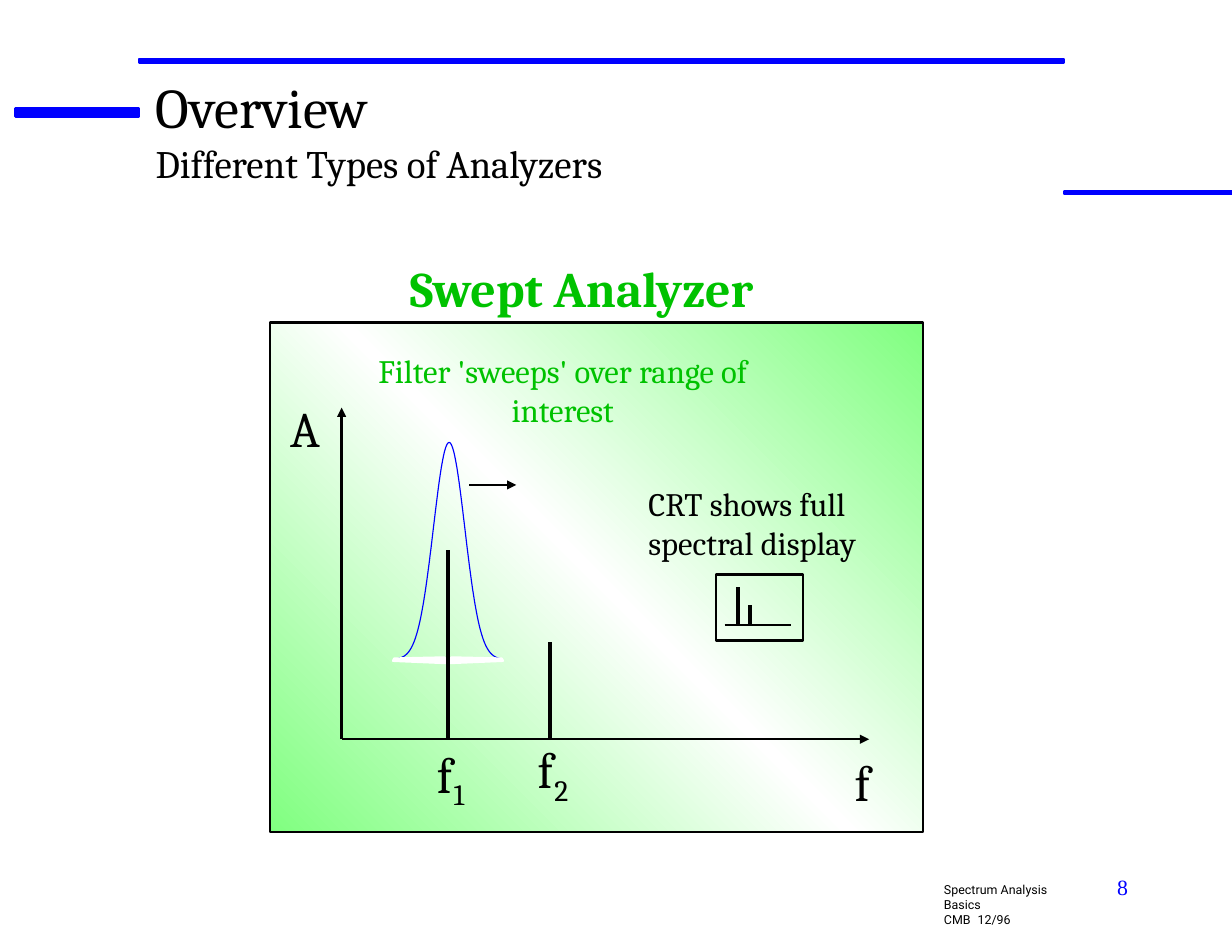
from dataclasses import dataclass
from math import exp
from typing import Optional

from lxml import etree
from copy import deepcopy
from pptx import Presentation
from pptx.dml.color import RGBColor
from pptx.enum.shapes import MSO_CONNECTOR, MSO_SHAPE
from pptx.enum.text import MSO_ANCHOR, MSO_AUTO_SIZE, PP_ALIGN
from pptx.oxml.ns import qn
from pptx.util import Cm, Pt

LEFT, MID, RIGHT = PP_ALIGN.LEFT, PP_ALIGN.CENTER, PP_ALIGN.RIGHT
TOP, FIXED = MSO_ANCHOR.TOP, MSO_AUTO_SIZE.NONE
RECT, LINE = MSO_SHAPE.RECTANGLE, MSO_CONNECTOR.STRAIGHT


@dataclass(frozen=True)
class Theme:
    black: str = "000000"
    white: str = "FFFFFF"
    blue: str = "0000FF"
    green: str = "00C200"
    pale: str = "80FF80"
    serif: str = "Cambria"
    title: float = 36
    sub: float = 25
    big: float = 32
    note: float = 21
    index: float = 19
    page: float = 14
    foot: float = 8
    thin: float = 0.75
    line: float = 1.5
    bar: float = 2.5


T = Theme()


@dataclass(frozen=True)
class Box:
    x: float
    y: float
    w: float
    h: float


@dataclass(frozen=True)
class Label:
    box: Box
    text: str
    size: float = T.big
    color: str = T.black
    align: PP_ALIGN = LEFT
    bold: bool = False
    face: str = T.serif
    inset: tuple = (0, 0)


@dataclass(frozen=True)
class Stroke:
    x1: float
    y1: float
    x2: float
    y2: float
    width: float = T.line
    arrow: bool = False


def inch(value: float) -> Cm:
    return Cm(value * 2.54)


def place(box: Box) -> list:
    return [inch(v) for v in (box.x, box.y, box.w, box.h)]


def style(font, color: str, **form) -> None:
    for key, value in form.items():
        setattr(font, key, value)
    font.color.rgb = RGBColor.from_string(color)


def set_frame(frame, inset: tuple = (0, 0)) -> None:
    side, edge = (inch(v) for v in inset)
    form = {"word_wrap": True, "auto_size": FIXED, "vertical_anchor": TOP,
            "margin_left": side, "margin_right": side,
            "margin_top": edge, "margin_bottom": edge}
    for key, value in form.items():
        setattr(frame, key, value)


def add_label(shapes, item: Label) -> None:
    frame = shapes.add_textbox(*place(item.box)).text_frame
    set_frame(frame, item.inset)
    frame.text = item.text
    for para in frame.paragraphs:
        para.alignment = item.align
        if "\t" in para.text:
            stops = etree.SubElement(para._p.get_or_add_pPr(), qn("a:tabLst"))
            etree.SubElement(stops, qn("a:tab"), pos=str(inch(0.3)), algn="l")
        style(para.font, item.color, name=item.face, size=Pt(item.size),
              bold=item.bold)


def paint(shape, line: str, width: float, fill: Optional[str] = None) -> None:
    shape.shadow.inherit = False
    shape.line.color.rgb = RGBColor.from_string(line)
    shape.line.width = Pt(width)
    if fill:
        shape.fill.solid()
        shape.fill.fore_color.rgb = RGBColor.from_string(fill)
    else:
        shape.fill.background()


def add_rect(shapes, box: Box, line: str, fill: Optional[str] = None):
    shape = shapes.add_shape(RECT, *place(box))
    paint(shape, line, T.line, fill)
    return shape


def add_blend(shape) -> None:
    fill = shape.fill
    fill.gradient()
    fill.gradient_angle = 45
    stops = shape._element.spPr.find(".//" + qn("a:gsLst"))
    stops.append(deepcopy(stops[0]))
    for stop, spot, color in zip(fill.gradient_stops, (0, 0.5, 1),
                                 (T.pale, T.white, T.pale)):
        stop.position = spot
        stop.color.rgb = RGBColor.from_string(color)


def add_line(shapes, item: Stroke) -> None:
    ends = [inch(v) for v in (item.x1, item.y1, item.x2, item.y2)]
    shape = shapes.add_connector(LINE, *ends)
    shape.line.color.rgb = RGBColor.from_string(T.black)
    shape.line.width = Pt(item.width)
    if item.arrow:
        etree.SubElement(shape.line._get_or_add_ln(), qn("a:tailEnd"),
                         type="triangle")
    etree.SubElement(shape._element.spPr, qn("a:effectLst"))


def add_path(shapes, dots: list, line: str, width: float,
             fill: Optional[str] = None) -> None:
    spots = [(inch(x), inch(y)) for x, y in dots]
    path = shapes.build_freeform(*spots[0])
    path.add_line_segments(spots[1:], close=True)
    paint(path.convert_to_shape(), line, width, fill)


def main() -> None:
    deck = Presentation()
    deck.slide_width, deck.slide_height = inch(11), inch(8.5)
    slide = deck.slides.add_slide(deck.slide_layouts[5])
    shapes = slide.shapes

    # Title and subtitle
    title = shapes.title
    title.left, title.top, title.width, title.height = place(
        Box(1.39, 0.65, 6.49, 1))
    set_frame(title.text_frame)
    title.text_frame.text = "Overview\nDifferent Types of Analyzers"
    for para, size in zip(title.text_frame.paragraphs, (T.title, T.sub)):
        para.alignment = LEFT
        style(para.font, T.black, name=T.serif, size=Pt(size))

    # Blue rules
    for box in (Box(0.14, 0.97, 1.1, 0.07), Box(1.24, 0.53, 8.26, 0.03),
                Box(9.5, 1.71, 1.5, 0.02)):
        add_rect(shapes, box, T.blue, T.blue)

    # Panel
    add_blend(add_rect(shapes, Box(2.41, 2.88, 5.83, 4.55), T.black))

    # Filter curve: a bell with its foot hidden by two white wedges
    peak, top, foot, spread = 4.01, 3.95, 5.89, 0.14
    bell = []
    for step in range(-46, 47):
        x = step / 100
        y = foot - (foot - top) * exp(-x * x / (2 * spread ** 2))
        bell.append((peak + x, y))
    add_path(shapes, bell, T.blue, T.thin)
    wedge = [(-0.48, 5.88), (-0.03, 5.87), (-0.02, 5.92), (-0.49, 5.9)]
    for sign in (1, -1):
        add_path(shapes, [(4 + sign * x, y) for x, y in wedge],
                 T.white, T.line, T.white)

    # Axes, signals, sweep arrow and the small display
    add_rect(shapes, Box(6.39, 5.13, 0.78, 0.59), T.black)
    base, floor = 6.6, 5.58
    for item in (
        Stroke(3.05, base, 3.05, 3.64, arrow=True),
        Stroke(3.05, base, 7.76, base, arrow=True),
        Stroke(4.91, base, 4.91, 5.73, T.bar),
        Stroke(4, base, 4, 4.91, T.bar),
        Stroke(4.19, 4.33, 4.61, 4.33, arrow=True),
        Stroke(6.47, floor, 7.06, floor),
        Stroke(6.7, floor, 6.7, 5.4, T.bar),
        Stroke(6.59, floor, 6.59, 5.24, T.bar),
    ):
        add_line(shapes, item)

    # Labels
    for x, y, mark in ((3.9, 6.64, "1"), (4.8, 6.6, "2")):
        add_label(shapes, Label(Box(x, y, 0.17, 0.52), "f"))
        add_label(shapes, Label(Box(x + 0.15, y + 0.29, 0.16, 0.32), mark,
                                T.index))
    for item in (
        Label(Box(2.59, 3.55, 0.33, 0.52), "A"),
        Label(Box(7.63, 6.71, 0.17, 0.53), "f"),
        Label(Box(3.31, 3.13, 3.43, 0.76),
              "Filter 'sweeps' over range of interest", T.note, T.green, MID),
        Label(Box(5.79, 4.32, 2.34, 0.77),
              "CRT shows full spectral display", T.note),
        Label(Box(3.66, 2.3, 3.64, 0.53), "Swept Analyzer", T.big, T.green,
              bold=True),
        Label(Box(8.33, 7.83, 1.36, 0.37),
              "Spectrum Analysis Basics\nCMB\t12/96", T.foot,
              face="Roboto", inset=(0.1, 0.05)),
        Label(Box(7.92, 7.75, 2.25, 0.58), "8", T.page, T.blue, RIGHT,
              face="Times New Roman", inset=(0.1, 0.05)),
    ):
        add_label(shapes, item)

    deck.save("out.pptx")


if __name__ == "__main__":
    main()
